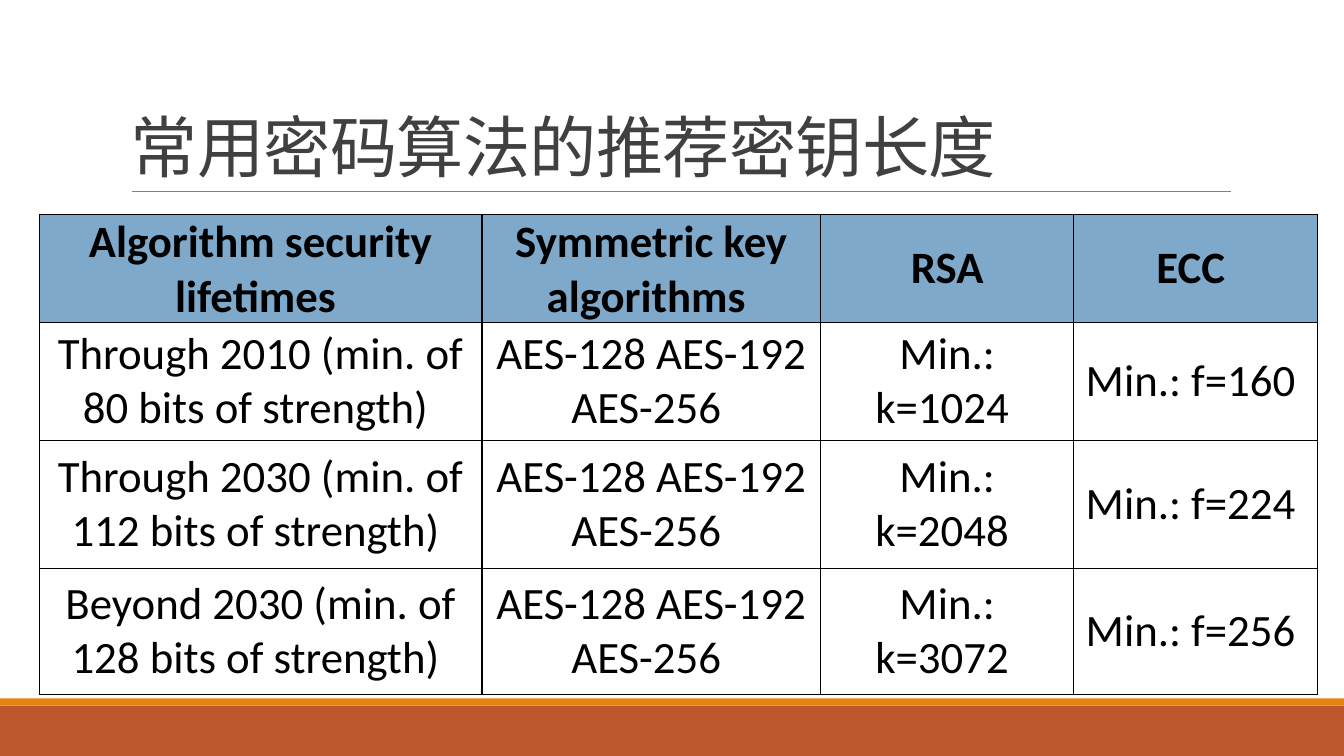
"""Build a slide with a table of recommended key lengths."""
from dataclasses import dataclass

from lxml.etree import SubElement
from pptx import Presentation
from pptx.dml.color import RGBColor
from pptx.enum.shapes import MSO_CONNECTOR, MSO_SHAPE
from pptx.enum.text import MSO_ANCHOR, PP_ALIGN
from pptx.oxml import parse_xml
from pptx.oxml.ns import nsdecls, qn
from pptx.util import Inches, Pt

TITLE = "常用密码算法的推荐密钥长度"
HEAD = ("Algorithm security lifetimes ", "Symmetric key algorithms ", "RSA", "ECC ")
LEVELS = [
    ("Through 2010", 80, 1024, 160),
    ("Through 2030", 112, 2048, 224),
    ("Beyond 2030", 128, 3072, 256),
]
CIPHERS = "AES-128 AES-192 AES-256 "
ROWS = [HEAD] + [
    (f"{span} (min. of {bits} bits of strength) ", CIPHERS,
     f"Min.: k={rsa} ", f"Min.: f={ecc} ")
    for span, bits, rsa, ecc in LEVELS
]

WIDE, HIGH = 13.33, 7.5
COLS = (4.39, 3.36, 2.51, 2.42)
TALL = (0.99, 1.17, 1.27, 1.25)
BASE = 0.5
STRIP = 0.07
FLOOR = HIGH - BASE


@dataclass(frozen=True)
class Theme:
    """Hold the font, colours and type sizes."""
    font: str = "Calibri"
    title: str = "404040"
    text: str = "000000"
    head: str = "7EA9CA"
    rule: str = "808080"
    base: str = "BD582C"
    strip: str = "E48312"
    large: int = 48
    body: int = 32


THEME = Theme()


def tint(code):
    """Turn a hex code into a colour."""
    return RGBColor.from_string(code)


def write(para, text, size, color, bold=False):
    """Add one styled run."""
    run = para.add_run()
    run.text = text
    font = run.font
    font.name, font.size, font.bold = THEME.font, Pt(size), bold
    font.color.rgb = tint(color)
    return run


def add_band(slide, top, height, color):
    """Draw a full-width band."""
    band = slide.shapes.add_shape(
        MSO_SHAPE.RECTANGLE, 0, Inches(top), Inches(WIDE), Inches(height))
    band.shadow.inherit = False
    band.fill.solid()
    band.fill.fore_color.rgb = tint(color)
    band.line.fill.background()


def add_title(slide):
    """Draw the title and the rule under it."""
    base = Inches(1.9)
    rule = slide.shapes.add_connector(
        MSO_CONNECTOR.STRAIGHT, Inches(1.31), base, Inches(12.21), base)
    rule.line.color.rgb = tint(THEME.rule)
    rule.line.width = Pt(0.5)
    SubElement(rule._element.spPr, qn("a:effectLst"))

    box = slide.shapes.add_textbox(Inches(1.2), Inches(0.31), Inches(11), Inches(1.59))
    frame = box.text_frame
    frame.word_wrap = True
    frame.vertical_anchor = MSO_ANCHOR.BOTTOM
    para = frame.paragraphs[0]
    para.line_spacing = 0.85
    run = write(para, TITLE, THEME.large, THEME.title)
    run._r.get_or_add_rPr().set("spc", "-50")


def add_edges(cell):
    """Put a thin line on each side of a cell."""
    props = cell._tc.get_or_add_tcPr()
    for spot, side in enumerate("LRTB"):
        props.insert(spot, parse_xml(
            f'<a:ln{side} {nsdecls("a")} w="12700"><a:solidFill>'
            f'<a:srgbClr val="{THEME.text}"/></a:solidFill></a:ln{side}>'))


def fill_cell(cell, text, head):
    """Style one cell and write its text."""
    if head:
        cell.fill.solid()
        cell.fill.fore_color.rgb = tint(THEME.head)
    else:
        cell.fill.background()
    add_edges(cell)
    cell.vertical_anchor = MSO_ANCHOR.MIDDLE
    cell.margin_left = cell.margin_right = Inches(0.07)
    cell.margin_top = cell.margin_bottom = 0
    para = cell.text_frame.paragraphs[0]
    para.alignment = PP_ALIGN.CENTER
    write(para, text, THEME.body, THEME.text, head)


def add_grid(slide):
    """Draw the table of key lengths."""
    table = slide.shapes.add_table(
        len(ROWS), len(COLS), Inches(0.39), Inches(2.13),
        Inches(sum(COLS)), Inches(sum(TALL))).table
    table.first_row = table.horz_banding = False
    for col, width in zip(table.columns, COLS):
        col.width = Inches(width)
    for row, height in zip(table.rows, TALL):
        row.height = Inches(height)
    for i, texts in enumerate(ROWS):
        for j, text in enumerate(texts):
            fill_cell(table.cell(i, j), text, i == 0)


def main():
    """Build and save the deck."""
    deck = Presentation()
    deck.slide_width, deck.slide_height = Inches(WIDE), Inches(HIGH)
    slide = deck.slides.add_slide(deck.slide_layouts[6])
    add_band(slide, FLOOR, BASE, THEME.base)
    add_band(slide, FLOOR - STRIP, STRIP, THEME.strip)
    add_title(slide)
    add_grid(slide)
    deck.save("out.pptx")


if __name__ == "__main__":
    main()
